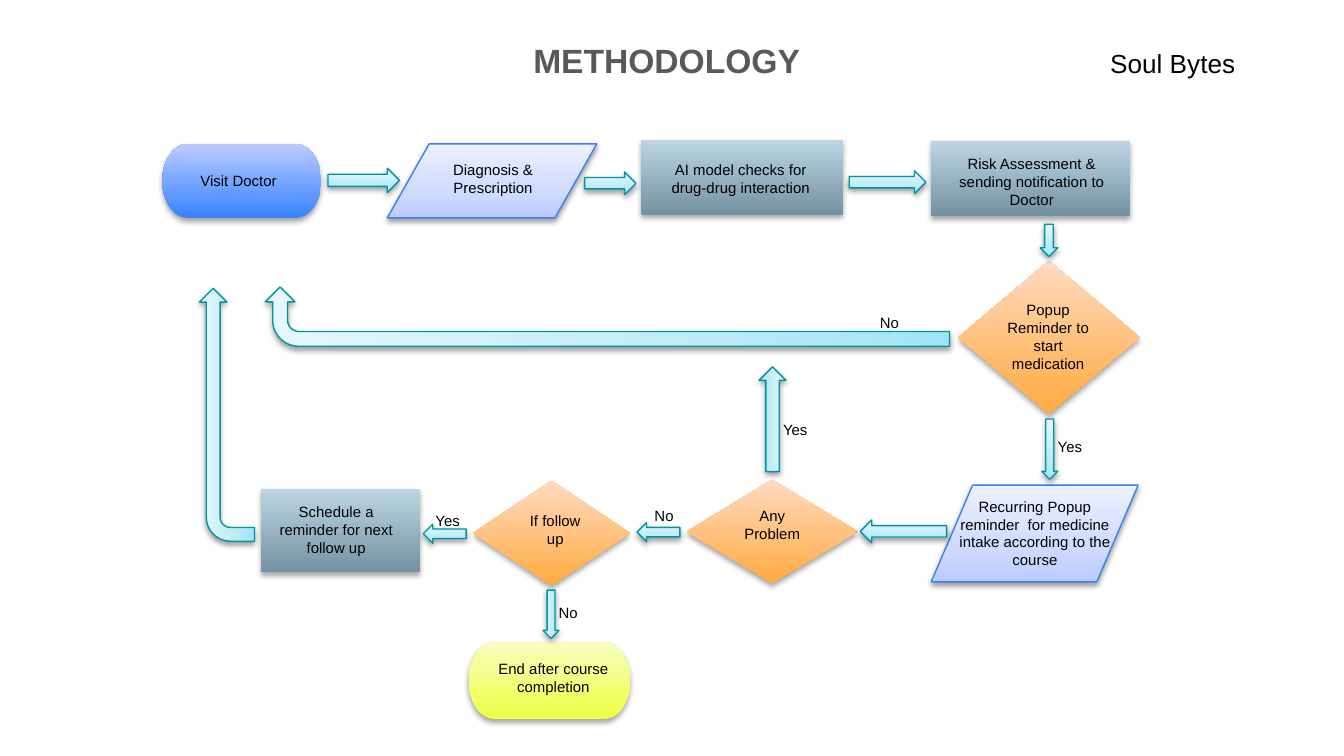
import pptx
import pptx.dml.color
import pptx.enum.shapes
import pptx.enum.text
import pptx.oxml.ns
import pptx.util
import lxml.etree

Cm = pptx.util.Cm
Pt = pptx.util.Pt
KIND = pptx.enum.shapes.MSO_SHAPE
ALIGN = pptx.enum.text.PP_ALIGN
AUTO = pptx.enum.text.MSO_AUTO_SIZE
qn = pptx.oxml.ns.qn


def color(hex_code):
    return pptx.dml.color.RGBColor.from_string(hex_code)


def write(frame, text, size=8, hex_code="000000", bold=False,
          align=ALIGN.LEFT, inset_y=0.13, grow=True):
    frame.word_wrap = True
    frame.auto_size = AUTO.SHAPE_TO_FIT_TEXT if grow else AUTO.NONE
    frame.vertical_anchor = pptx.enum.text.MSO_ANCHOR.TOP
    frame.margin_left = frame.margin_right = Cm(0.25)
    frame.margin_top = frame.margin_bottom = Cm(inset_y)
    paragraph = frame.paragraphs[0]
    paragraph.alignment = align
    run = paragraph.add_run()
    run.text = text
    run.font.name = "Arial"
    run.font.size = Pt(size)
    run.font.bold = bold
    run.font.color.rgb = color(hex_code)


class Flowchart:
    # Each look: gradient stops from bottom to top, and outline
    LOOKS = {
        "start": ([(0, "3782FF"), (100, "BBCBFF")], None),
        "data": ([(0, "BBCBFF"), (35, "CFDAFF"), (100, "EDF1FF")], "3C81F3"),
        "process": ([(0, "7392A1"), (100, "BDD5E2")], None),
        "decision": ([(0, "FFAB40"), (100, "FFDAC0")], None),
        "end": ([(0, "EEFF41"), (100, "F7FFC0")], None),
        "arrow": ([(0, "A0E5F5"), (35, "BEEBF7"), (100, "E5F8FD")], "0094A3"),
    }

    def __init__(self, slide):
        self.slide = slide

    def title(self, text, box):
        title = self.slide.shapes.title
        title.left, title.top, title.width, title.height = map(Cm, box)
        write(title.text_frame, text, size=14, inset_y=0.25, grow=False)

    def label(self, text, box, **style):
        holder = self.slide.shapes.add_textbox(*map(Cm, box))
        write(holder.text_frame, text, **style)

    def block(self, kind, look, box, rotation=0):
        block = self.slide.shapes.add_shape(kind, *map(Cm, box))
        block.rotation = rotation
        stops, outline = self.LOOKS[look]
        self.gradient(block, stops)
        if outline:
            block.line.color.rgb = color(outline)
            block.line.width = Pt(0.75)
        else:
            block.line.fill.background()
        self.shadow(block, *((1.6, 38) if outline else (1.8, 35)))

    def gradient(self, block, stops):
        block.fill.gradient()
        block.fill.gradient_angle = 90
        stop_list = block._element.spPr.find(".//" + qn("a:gsLst"))
        stop_list.clear()
        for position, hex_code in stops:
            stop = lxml.etree.SubElement(stop_list, qn("a:gs"), pos=str(position * 1000))
            lxml.etree.SubElement(stop, qn("a:srgbClr"), val=hex_code)

    def shadow(self, block, distance, opacity):
        block.shadow.inherit = False
        effects = block._element.spPr.find(qn("a:effectLst"))
        outer = lxml.etree.SubElement(
            effects, qn("a:outerShdw"), blurRad=str(Pt(3.1)),
            dist=str(Pt(distance)), dir="5400000", rotWithShape="0")
        shade = lxml.etree.SubElement(outer, qn("a:srgbClr"), val="000000")
        lxml.etree.SubElement(shade, qn("a:alpha"), val=str(opacity * 1000))


# Steps: shape, look, shape box, text, text box
STEPS = [
    (KIND.FLOWCHART_TERMINATOR, "start", (3.07, 2.72, 3, 1.4),
     "Visit Doctor", (3.31, 3.12, 2.4, 0.61)),
    (KIND.FLOWCHART_DATA, "data", (7.32, 2.72, 3.96, 1.4),
     "Diagnosis & Prescription", (8.2, 2.9, 2.24, 0.94)),
    (KIND.FLOWCHART_PROCESS, "process", (12.12, 2.64, 3.81, 1.42),
     "AI model checks for drug-drug interaction", (12.17, 2.9, 3.66, 0.94)),
    (KIND.RECTANGLE, "process", (17.6, 2.67, 3.76, 1.42),
     "Risk Assessment & sending notification to Doctor", (17.81, 2.79, 3.38, 1.27)),
    (KIND.FLOWCHART_DECISION, "decision", (18.11, 4.93, 3.43, 2.9),
     "Popup Reminder to start medication", (18.72, 5.56, 2.18, 1.63)),
    (KIND.FLOWCHART_DATA, "data", (17.6, 9.17, 3.91, 1.83),
     "Recurring Popup reminder  for medicine intake according to the course",
     (17.86, 9.27, 3.4, 1.63)),
    (KIND.FLOWCHART_DECISION, "decision", (12.98, 9.07, 3.23, 1.96),
     "Any Problem", (13.64, 9.45, 1.91, 0.94)),
    (KIND.FLOWCHART_PROCESS, "process", (4.93, 9.25, 3, 1.57),
     "Schedule a reminder for next follow up", (4.83, 9.37, 3.05, 1.27)),
    (KIND.FLOWCHART_DECISION, "decision", (8.94, 9.09, 2.97, 1.98),
     "If follow up", (9.68, 9.55, 1.63, 0.94)),
    (KIND.FLOWCHART_TERMINATOR, "end", (8.86, 12.14, 3.05, 1.45),
     "End after course completion", (8.81, 12.34, 3.3, 0.94)),
]

# Arrows: shape, box, rotation
ARROWS = [
    (KIND.RIGHT_ARROW, (6.2, 3.18, 1.35, 0.46), 0),
    (KIND.RIGHT_ARROW, (11.05, 3.25, 0.97, 0.43), 0),
    (KIND.RIGHT_ARROW, (16.05, 3.23, 1.45, 0.43), 0),
    (KIND.DOWN_ARROW, (19.66, 4.24, 0.33, 0.61), 0),
    (KIND.DOWN_ARROW, (19.69, 7.92, 0.3, 1.14), 0),
    (KIND.BENT_ARROW, (10.92, -0.48, 1.12, 12.93), 270),
    (KIND.LEFT_ARROW, (16.26, 9.83, 1.63, 0.43), 0),
    (KIND.LEFT_ARROW, (13.61, 7.67, 1.98, 0.51), 90),
    (KIND.LEFT_ARROW, (12.04, 9.88, 0.81, 0.36), 0),
    (KIND.LEFT_ARROW, (9.96, 11.46, 0.91, 0.3), 270),
    (KIND.LEFT_ARROW, (8, 9.91, 0.81, 0.36), 0),
    (KIND.BENT_ARROW, (1.9, 7.32, 4.78, 1.04), 270),
]

# Answers on the branches: text, left, top
ANSWERS = [
    ("Yes", 19.74, 8.15), ("No", 16.38, 5.79), ("Yes", 14.55, 7.82),
    ("No", 12.12, 9.45), ("No", 10.31, 11.28), ("Yes", 7.98, 9.55),
]


def main():
    deck = pptx.Presentation()
    deck.slide_width, deck.slide_height = Cm(25.4), Cm(14.29)
    chart = Flowchart(deck.slides.add_slide(deck.slide_layouts[5]))

    # Headings
    chart.title("Soul Bytes", (20.73, 0.64, 3.81, 1.04))
    chart.label("METHODOLOGY", (9.83, 0.51, 5.74, 1.27),
                size=18, hex_code="595959", bold=True, inset_y=0.25)

    # Flow
    for kind, look, box, text, text_box in STEPS:
        chart.block(kind, look, box)
        chart.label(text, text_box, align=ALIGN.CENTER)
    for kind, box, rotation in ARROWS:
        chart.block(kind, "arrow", box, rotation)
    for answer, left, top in ANSWERS:
        chart.label(answer, (left, top, 1.12, 0.61))

    deck.save("out.pptx")


if __name__ == "__main__":
    main()
